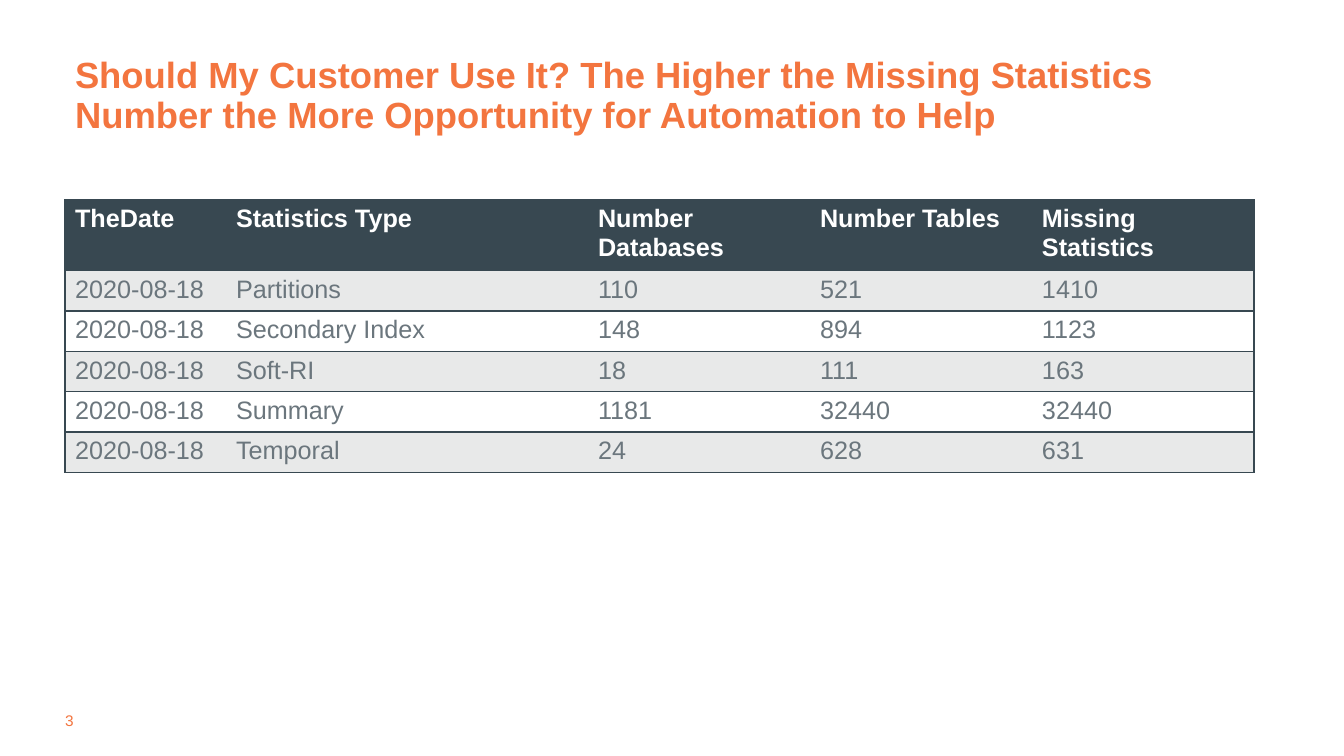
import pptx
import pptx.dml.color
import pptx.enum.text
import pptx.oxml.ns
import pptx.util
import lxml.etree

EMU_PER_PIXEL = 914400 / 100.8
COLORS = {
    "accent": "F3753F",
    "header": "384851",
    "header_text": "FFFFFF",
    "body_text": "6B767D",
    "band": "E8E9E9",
    "plain": "FFFFFF",
}
COLUMN_WIDTHS = [161, 362, 222, 222, 222]
HEADER_HEIGHT = 66
ROW_HEIGHT = 38
HEADINGS = ["TheDate", "Statistics Type", "Number Databases", "Number Tables", "Missing Statistics"]
DATE = "2020-08-18"
STATISTICS = [
    ("Partitions", 110, 521, 1410),
    ("Secondary Index", 148, 894, 1123),
    ("Soft-RI", 18, 111, 163),
    ("Summary", 1181, 32440, 32440),
    ("Temporal", 24, 628, 631),
]


def pixels(length):
    return pptx.util.Emu(round(length * EMU_PER_PIXEL))


def rgb(name):
    return pptx.dml.color.RGBColor.from_string(COLORS[name])


class SlideBuilder:
    font_name = "Arial"
    border_points = 1

    def __init__(self, slide):
        self.slide = slide

    def format_text(self, text_frame, size, color, bold=False):
        for paragraph in text_frame.paragraphs:
            for run in paragraph.runs:
                run.font.name = self.font_name
                run.font.size = pptx.util.Pt(size)
                run.font.bold = bold
                run.font.color.rgb = rgb(color)

    def text(self, content, left, top, width, height, size, color, bold=False,
             margins=(10, 5), wrap=True, anchor=pptx.enum.text.MSO_ANCHOR.TOP, line_spacing=1.0):
        shape = self.slide.shapes.add_textbox(*map(pixels, (left, top, width, height)))
        frame = shape.text_frame
        frame.text = content
        frame.word_wrap = wrap
        frame.vertical_anchor = anchor
        frame.margin_left = frame.margin_right = pixels(margins[0])
        frame.margin_top = frame.margin_bottom = pixels(margins[1])
        frame.paragraphs[0].line_spacing = line_spacing
        self.format_text(frame, size, color, bold)

    def border(self, cell, side, color):
        properties = cell._tc.get_or_add_tcPr()
        line = lxml.etree.SubElement(properties, pptx.oxml.ns.qn(f"a:ln{side}"))
        if color is None:
            lxml.etree.SubElement(line, pptx.oxml.ns.qn("a:noFill"))
            return
        line.set("w", str(pptx.util.Pt(self.border_points)))
        fill = lxml.etree.SubElement(line, pptx.oxml.ns.qn("a:solidFill"))
        lxml.etree.SubElement(fill, pptx.oxml.ns.qn("a:srgbClr"), val=COLORS[color])

    def table(self, rows, left, top, column_widths, row_heights, size):
        frame = self.slide.shapes.add_table(
            len(rows), len(column_widths), pixels(left), pixels(top),
            pixels(sum(column_widths)), pixels(sum(row_heights)))
        table = frame.table
        for column, width in zip(table.columns, column_widths):
            column.width = pixels(width)
        last_column = len(column_widths) - 1
        for row_index, values in enumerate(rows):
            table.rows[row_index].height = pixels(row_heights[row_index])
            is_header = row_index == 0
            fill = "header" if is_header else ("plain", "band")[row_index % 2]
            for column_index, value in enumerate(values):
                cell = table.cell(row_index, column_index)
                cell.text_frame.text = str(value)
                self.format_text(cell.text_frame, size,
                                 "header_text" if is_header else "body_text", is_header)
                self.border(cell, "L", "header" if column_index == 0 else None)
                self.border(cell, "R", "header" if column_index == last_column else None)
                self.border(cell, "T", "header")
                self.border(cell, "B", "header")
                cell.fill.solid()
                cell.fill.fore_color.rgb = rgb(fill)


presentation = pptx.Presentation()
presentation.slide_width = pixels(1344)
presentation.slide_height = pixels(756)
builder = SlideBuilder(presentation.slides.add_slide(presentation.slide_layouts[6]))

builder.text("3", 65, 711, 19, 19, 11, "accent", margins=(0, 0), wrap=False)
builder.text(
    "Should My Customer Use It? The Higher the Missing Statistics Number "
    "the More Opportunity for Automation to Help",
    65, 43, 1159, 98, 26, "accent", bold=True,
    anchor=pptx.enum.text.MSO_ANCHOR.BOTTOM, line_spacing=0.9)
builder.table(
    [HEADINGS] + [(DATE, *statistic) for statistic in STATISTICS],
    65, 200, COLUMN_WIDTHS, [HEADER_HEIGHT] + [ROW_HEIGHT] * len(STATISTICS), 18)

presentation.save("out.pptx")
